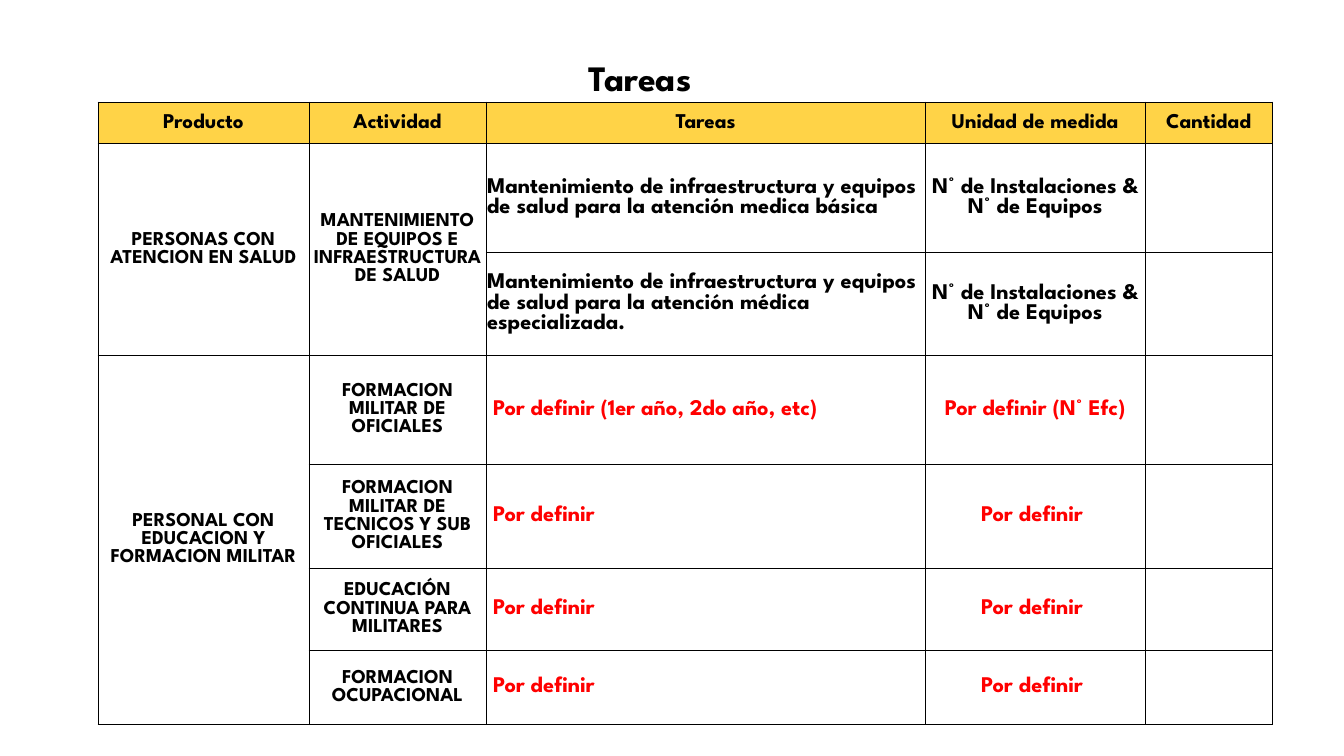
from lxml.etree import SubElement
from pptx import Presentation
from pptx.dml.color import RGBColor
from pptx.enum.text import MSO_ANCHOR, MSO_AUTO_SIZE, PP_ALIGN
from pptx.oxml.ns import qn
from pptx.util import Emu, Inches, Pt

PX = 914400 / 100.8
FONT = "League Spartan"
BLACK, RED, WHITE, YELLOW = "000000", "FF0000", "FFFFFF", "FFD347"
COLUMN_WIDTHS = [211, 177, 439, 220, 127]
ROW_HEIGHTS = [41, 109, 103, 109, 104, 82, 74]
TASK_COLUMN, UNIT_COLUMN = 2, 3

HEADINGS = ["Producto", "Actividad", "Tareas", "Unidad de medida", "Cantidad"]
UNITS = "N° de Instalaciones & N° de Equipos"
PENDING = "Por definir"
ACTIVITIES = [
    ["PERSONAS CON ATENCION EN SALUD",
     "MANTENIMIENTO DE EQUIPOS E INFRAESTRUCTURA DE SALUD",
     "Mantenimiento de infraestructura y equipos de salud para la atención medica básica",
     UNITS, ""],
    ["", "",
     "Mantenimiento de infraestructura y equipos de salud para la atención médica especializada.",
     UNITS, ""],
    ["PERSONAL CON EDUCACION Y FORMACION MILITAR", "FORMACION MILITAR DE OFICIALES",
     "Por definir (1er año, 2do año, etc)", "Por definir (N° Efc)", ""],
    ["", "FORMACION MILITAR DE TECNICOS Y SUB OFICIALES", PENDING, PENDING, ""],
    ["", "EDUCACIÓN CONTINUA PARA MILITARES", PENDING, PENDING, ""],
    ["", "FORMACION OCUPACIONAL", PENDING, PENDING, ""],
]
# First row, last row and column of each merged block
MERGES = [(1, 2, 0), (1, 2, 1), (3, 6, 0)]


def px(length):
    return Emu(round(length * PX))


def rgb(hex_code):
    return RGBColor.from_string(hex_code)


def apply(target, values):
    for name, value in values.items():
        setattr(target, name, value)


def write(frame, text, size, color=BLACK, align=PP_ALIGN.CENTER):
    paragraph = frame.paragraphs[0]
    paragraph.alignment = align
    run = paragraph.add_run()
    run.text = text
    apply(run.font, {"name": FONT, "size": Pt(size), "bold": True})
    run.font.color.rgb = rgb(color)
    return paragraph, run


def add_title(slide, text):
    title = slide.shapes.add_textbox(px(565), px(38), px(150), px(64))
    apply(title.text_frame, {"word_wrap": False,
                             "auto_size": MSO_AUTO_SIZE.SHAPE_TO_FIT_TEXT})
    paragraph, run = write(title.text_frame, text, 44)
    paragraph.line_spacing = 1.07
    run.font._element.set("baseline", "30000")


def add_borders(cell):
    properties = cell._tc.get_or_add_tcPr()
    for side in ("lnL", "lnR", "lnT", "lnB"):
        line = SubElement(properties, qn(f"a:{side}"), w=str(Pt(0.5)))
        fill = SubElement(line, qn("a:solidFill"))
        SubElement(fill, qn("a:srgbClr"), val=BLACK)


def format_cell(cell, fill):
    apply(cell, {"margin_left": px(1), "margin_right": px(1), "margin_top": px(1),
                 "margin_bottom": px(0), "vertical_anchor": MSO_ANCHOR.MIDDLE})
    add_borders(cell)
    cell.fill.solid()
    cell.fill.fore_color.rgb = rgb(fill)


def fill_activity_cell(cell, text, column):
    is_detail = column in (TASK_COLUMN, UNIT_COLUMN)
    pending = text.startswith(PENDING)
    if pending and column == TASK_COLUMN:
        cell.margin_left = px(7)
    elif text == PENDING:
        cell.margin_right = px(7)
    write(cell.text_frame, text, 16 if is_detail else 14, RED if pending else BLACK,
          PP_ALIGN.LEFT if column == TASK_COLUMN else PP_ALIGN.CENTER)


def add_task_table(slide):
    frame = slide.shapes.add_table(len(ROW_HEIGHTS), len(COLUMN_WIDTHS), px(98), px(102),
                                   px(sum(COLUMN_WIDTHS)), px(sum(ROW_HEIGHTS)))
    tasks = frame.table
    apply(tasks, {"first_row": False, "horz_banding": False})
    for column, width in zip(tasks.columns, COLUMN_WIDTHS):
        column.width = px(width)
    for row, height in zip(tasks.rows, ROW_HEIGHTS):
        row.height = px(height)

    # Header and activity rows
    for row, texts in enumerate([HEADINGS] + ACTIVITIES):
        for column, text in enumerate(texts):
            cell = tasks.cell(row, column)
            format_cell(cell, WHITE if row else YELLOW)
            if text and row:
                fill_activity_cell(cell, text, column)
            elif text:
                write(cell.text_frame, text, 15)

    # Products and activities that cover several rows
    for first, last, column in MERGES:
        tasks.cell(first, column).merge(tasks.cell(last, column))


def main():
    deck = Presentation()
    apply(deck, {"slide_width": Inches(13.33), "slide_height": Inches(7.5)})
    slide = deck.slides.add_slide(deck.slide_layouts[6])
    add_title(slide, "Tareas")
    add_task_table(slide)
    deck.save("out.pptx")


if __name__ == "__main__":
    main()
